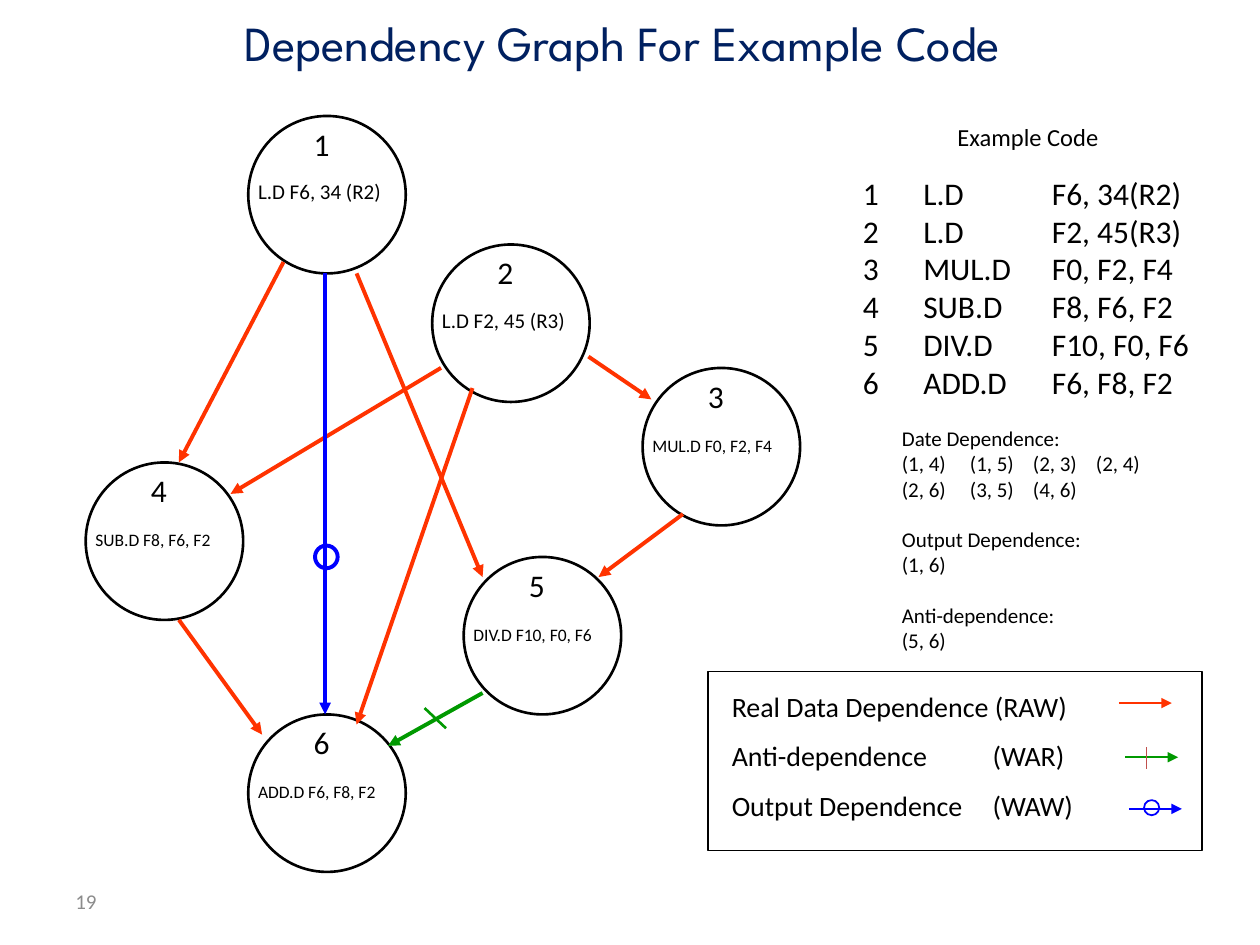
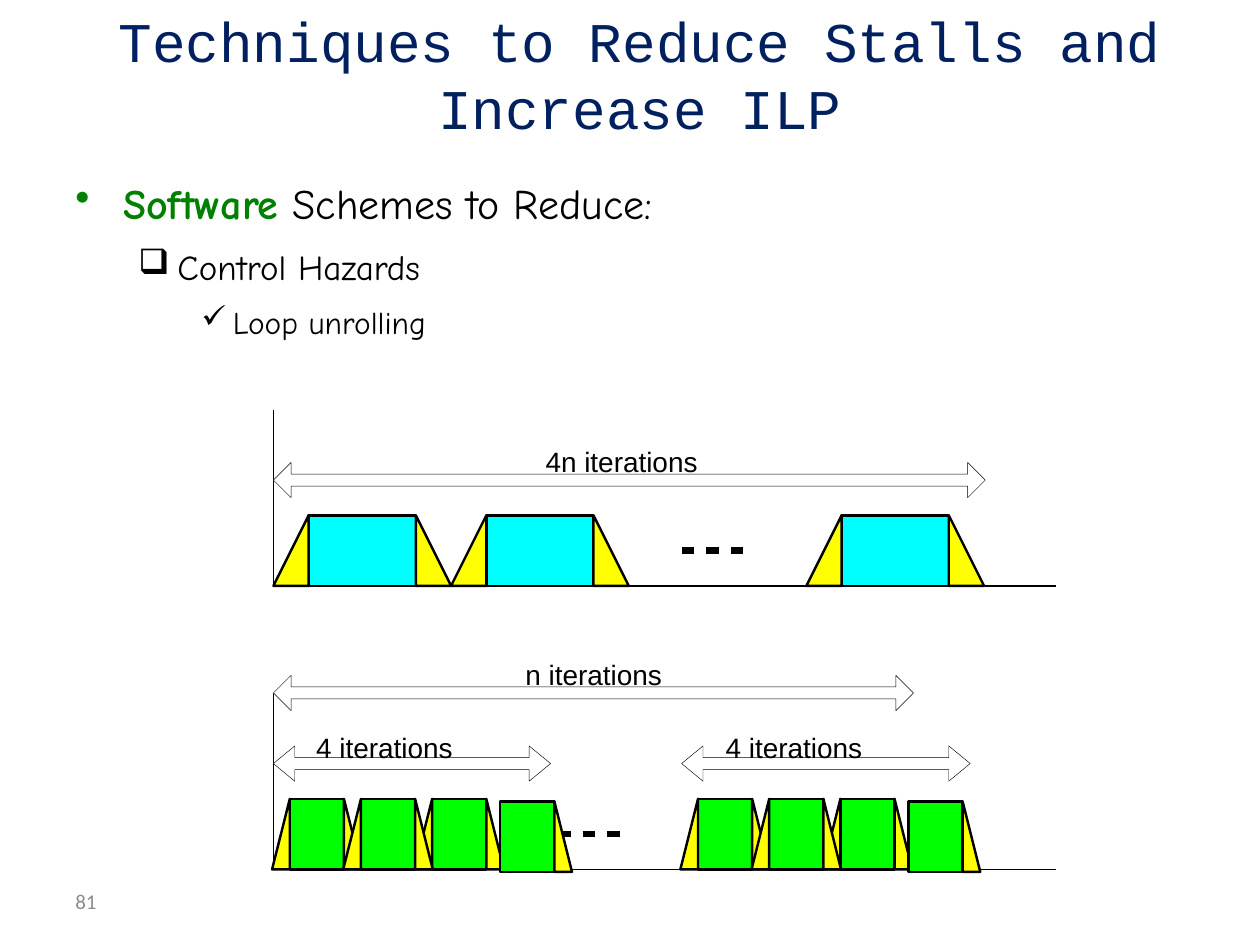
"""Build two slides on dependency graphs and loop unrolling."""
from dataclasses import dataclass

from lxml import etree
from pptx import Presentation
from pptx.dml.color import RGBColor
from pptx.enum.shapes import MSO_CONNECTOR, MSO_SHAPE
from pptx.enum.text import MSO_ANCHOR, MSO_AUTO_SIZE, PP_ALIGN
from pptx.oxml.ns import qn
from pptx.util import Inches, Pt

STRAIGHT = MSO_CONNECTOR.STRAIGHT
ELLIPSE, RECTANGLE = MSO_SHAPE.OVAL, MSO_SHAPE.RECTANGLE
DOUBLE_ARROW = MSO_SHAPE.LEFT_RIGHT_ARROW
TOP, MIDDLE = MSO_ANCHOR.TOP, MSO_ANCHOR.MIDDLE
LEFT, CENTER = PP_ALIGN.LEFT, PP_ALIGN.CENTER
FIXED_SIZE = MSO_AUTO_SIZE.NONE
TITLE_ONLY = 5


@dataclass(frozen=True)
class Theme:
    """Colours, fonts and sizes shared by the slides."""

    title: str = "002060"
    ink: str = "000000"
    paper: str = "FFFFFF"
    page: str = "8C8C8C"
    raw: str = "FF3300"
    war: str = "009900"
    war_tick: str = "C0504D"
    waw: str = "0000FF"
    emphasis: str = "008000"
    ramp: str = "FFFF00"
    loop: str = "00FFFF"
    unrolled: str = "00FF00"
    body_font: str = "Calibri"
    outline_font: str = "Comic Neue"
    chart_font: str = "Arial"
    tiny: float = 10
    small: float = 12
    caption: float = 14
    legend: float = 16
    code: float = 18
    edge: float = 2.25
    node: float = 1.5
    key: float = 1
    block: float = 1.38
    axis: float = 0.88
    dash: float = 3.75
    hairline: float = 0.25


THEME = Theme()

NODES = [
    (1, "L.D F6, 34 (R2)", 1.97, 0.92, THEME.small),
    (2, "L.D F2, 45 (R3)", 3.43, 1.94, THEME.small),
    (3, "MUL.D F0, F2, F4", 5.1, 2.92, THEME.tiny),
    (4, "SUB.D F8, F6, F2", 0.68, 3.67, THEME.tiny),
    (5, "DIV.D F10, F0, F6", 3.68, 4.42, THEME.tiny),
    (6, "ADD.D F6, F8, F2", 1.97, 5.67, THEME.tiny),
]
RAW_EDGES = [
    ((4.67, 2.83), (5.17, 3.17)),
    ((2.25, 2.08), (1.42, 3.67)),
    ((3.5, 2.92), (1.83, 3.92)),
    ((5.42, 4.08), (4.75, 4.58)),
    ((2.83, 2.17), (3.83, 4.58)),
    ((1.42, 4.92), (2.08, 5.83)),
    ((3.75, 3.08), (2.83, 5.75)),
]
INSTRUCTIONS = [
    "L.D\tF6, 34(R2)", "L.D\tF2, 45(R3)", "MUL.D\tF0, F2, F4",
    "SUB.D\tF8, F6, F2", "DIV.D\tF10, F0, F6", "ADD.D\tF6, F8, F2",
]
DEPENDENCES = [
    "Date Dependence:", "(1, 4)\t(1, 5)\t(2, 3)\t(2, 4)",
    "(2, 6)\t(3, 5)\t(4, 6)", "Output Dependence:", "(1, 6)",
    "Anti-dependence:", "(5, 6)",
]
LEGEND = [
    "Real Data Dependence (RAW)", "Anti-dependence\t(WAR)",
    "Output Dependence\t(WAW)",
]
OUTLINE = [
    ("•", 24, 0.38, 0.38, [("Software", THEME.emphasis, True),
                           (" Schemes to Reduce:", THEME.ink, False)]),
    ("❑", 20, 0.81, 0.31, [("Control Hazards", THEME.ink, False)]),
    ("✓", 18, 1.25, 0.25, [("Loop unrolling", THEME.ink, False)]),
]


def apply_format(target, values):
    """Set each named value on the target."""
    for name, value in values.items():
        setattr(target, name, value)


def place(shape, left, top, width, height):
    """Move and size a shape in inches."""
    apply_format(shape, {"left": Inches(left), "top": Inches(top),
                         "width": Inches(width), "height": Inches(height)})


def style_font(font, name, size, colour, bold=False):
    """Give a font its face, size, weight and colour."""
    apply_format(font, {"name": name, "size": Pt(size), "bold": bold})
    font.color.rgb = RGBColor.from_string(colour)


def add_text(slide, box, lines, size, font=THEME.body_font, colour=THEME.ink,
             anchor=TOP, inset=(0.1, 0.05), tabs=(), gaps=None):
    """Write lines in a text box, with tab stops and gaps before lines."""
    label = slide.shapes.add_textbox(*map(Inches, box))
    frame = label.text_frame
    across, down = map(Inches, inset)
    apply_format(frame, {"word_wrap": True, "vertical_anchor": anchor,
                         "margin_left": across, "margin_right": across,
                         "margin_top": down, "margin_bottom": down})
    frame.text = "\n".join(lines)
    for index, paragraph in enumerate(frame.paragraphs):
        paragraph.space_before = Pt((gaps or {}).get(index, 0))
        for run in paragraph.runs:
            style_font(run.font, font, size, colour)
        if tabs:
            stops = etree.SubElement(paragraph._p.get_or_add_pPr(), qn("a:tabLst"))
            for stop in tabs:
                etree.SubElement(stops, qn("a:tab"), pos=str(Inches(stop)), algn="l")


def add_page(deck, title, font, size, box, number, align=CENTER, indent=0.1):
    """Add a slide with its title and page number."""
    slide = deck.slides.add_slide(deck.slide_layouts[TITLE_ONLY])
    heading = slide.shapes.title
    place(heading, *box)
    frame = heading.text_frame
    frame.text = title
    apply_format(frame, {"word_wrap": True, "auto_size": FIXED_SIZE,
                         "vertical_anchor": MIDDLE, "margin_left": Inches(indent)})
    frame.paragraphs[0].alignment = align
    style_font(frame.paragraphs[0].runs[0].font, font, size, THEME.title)
    add_text(slide, (0.5, 6.95, 2.33, 0.4), [number], THEME.small,
             colour=THEME.page, anchor=MIDDLE)
    return slide


def paint(shape, fill, colour, weight):
    """Set a shape's fill and outline and drop its shadow."""
    shape.shadow.inherit = False
    if fill:
        shape.fill.solid()
        shape.fill.fore_color.rgb = RGBColor.from_string(fill)
    else:
        shape.fill.background()
    shape.line.color.rgb = RGBColor.from_string(colour)
    shape.line.width = Pt(weight)


def add_figure(slide, kind, box, weight, colour=THEME.ink, fill=None):
    """Draw a preset shape."""
    figure = slide.shapes.add_shape(kind, *map(Inches, box))
    paint(figure, fill, colour, weight)
    return figure


def add_line(slide, start, end, colour, weight, arrow=False):
    """Draw a straight line, optionally ending in an arrowhead."""
    line = slide.shapes.add_connector(STRAIGHT, *map(Inches, (*start, *end)))
    line.line.color.rgb = RGBColor.from_string(colour)
    line.line.width = Pt(weight)
    if arrow:
        etree.SubElement(line.line._get_or_add_ln(), qn("a:tailEnd"), type="triangle")
    etree.SubElement(line._element.spPr, qn("a:effectLst"))


def add_node(slide, number, instruction, left, top, size):
    """Draw a graph node with its number and instruction."""
    add_figure(slide, ELLIPSE, (left, top, 1.25, 1.25), THEME.node)
    label_drop = 0.45 if size == THEME.small else 0.48
    add_text(slide, (left - 0.02, top + label_drop, 1.4, 0.3), [instruction], size)
    add_text(slide, (left + 0.42, top + 0.02, 0.37, 0.5), [str(number)], THEME.code)


def add_legend(slide):
    """Draw the key to the three kinds of dependence."""
    add_figure(slide, RECTANGLE, (5.62, 5.33, 3.92, 1.42), THEME.key)
    add_text(slide, (5.71, 5.42, 3.13, 1.17), LEGEND, THEME.legend,
             tabs=[2.07], gaps={1: 9.3, 2: 9.3})
    keys = [(8.88, 5.58, THEME.raw), (8.93, 6.01, THEME.war), (8.96, 6.42, THEME.waw)]
    for left, level, colour in keys:
        add_line(slide, (left, level), (left + 0.42, level), colour, THEME.key, True)
    add_line(slide, (9.1, 5.93), (9.1, 6.1), THEME.war_tick, THEME.key)
    add_figure(slide, ELLIPSE, (9.08, 6.35, 0.12, 0.12), THEME.key, THEME.waw)


def add_graph_slide(deck):
    """Build the dependency graph slide."""
    slide = add_page(deck, "Dependency Graph For Example Code", "League Spartan", 28,
                     (1.17, 0.08, 8.12, 0.5), "19", LEFT, 0.77)
    add_text(slide, (7.5, 0.92, 1.6, 0.33), ["Example Code"], THEME.caption)
    add_text(slide, (7.23, 1.33, 2.5, 1.92), INSTRUCTIONS, THEME.code, tabs=[1.02])
    add_text(slide, (6.75, 1.33, 0.36, 1.9), [str(node[0]) for node in NODES], THEME.code)
    add_text(slide, (7.06, 3.33, 2.6, 1.9), DEPENDENCES, THEME.small,
             tabs=[0.54, 1.04, 1.54], gaps={3: 14.4, 5: 14.4})
    for node in NODES:
        add_node(slide, *node)
    for start, end in RAW_EDGES:
        add_line(slide, start, end, THEME.raw, THEME.edge, True)
    add_line(slide, (3.37, 5.62), (3.54, 5.78), THEME.war, THEME.node)
    add_line(slide, (3.83, 5.5), (3.08, 5.92), THEME.war, THEME.edge, True)
    add_figure(slide, ELLIPSE, (2.5, 4.33, 0.18, 0.18), THEME.edge, THEME.waw)
    add_line(slide, (2.58, 2.17), (2.58, 5.67), THEME.waw, THEME.edge, True)
    add_legend(slide)


def add_outline(slide):
    """Write the bulleted outline."""
    box = slide.shapes.add_textbox(*map(Inches, (0.5, 1.36, 9, 1.6)))
    frame = box.text_frame
    frame.word_wrap = True
    for index, (bullet, size, margin, hang, runs) in enumerate(OUTLINE):
        paragraph = frame.add_paragraph() if index else frame.paragraphs[0]
        paragraph.space_before = Pt(size / 2 if index else 0)
        properties = paragraph._p.get_or_add_pPr()
        properties.set("marL", str(Inches(margin)))
        properties.set("indent", str(-Inches(hang)))
        etree.SubElement(properties, qn("a:buChar"), char=bullet)
        for words, colour, bold in runs:
            run = paragraph.add_run()
            run.text = words
            style_font(run.font, THEME.outline_font, size, colour, bold)


def add_ramp(slide, foot, tip, top, height=0.56):
    """Draw a right triangle that rises from its tip to its foot."""
    base = top + height
    outline = slide.shapes.build_freeform(Inches(foot), Inches(base))
    corners = [(Inches(tip), Inches(base)), (Inches(foot), Inches(top))]
    outline.add_line_segments(corners, close=True)
    paint(outline.convert_to_shape(), THEME.ramp, THEME.ink, THEME.block)


def add_iteration(slide, left, top, width, ramp, fill, starts=True):
    """Draw a loop body between its start-up and wind-down ramps."""
    right = left + width
    add_figure(slide, RECTANGLE, (left, top, width, 0.56), THEME.block, fill=fill)
    add_ramp(slide, right, right + ramp, top)
    if starts:
        add_ramp(slide, left, left - ramp, top)


def add_span(slide, left, level, width, head, words, words_left):
    """Draw a double arrow with a label counting iterations."""
    height = 0.28
    arrow = add_figure(slide, DOUBLE_ARROW, (left, level - height / 2, width, height),
                       THEME.hairline, fill=THEME.paper)
    arrow.adjustments[0] = 0.34
    arrow.adjustments[1] = head / height
    label_top = level - (0.28 if head < 0.15 else 0.26)
    add_text(slide, (words_left, label_top, 1.4, 0.27), [words], THEME.legend,
             THEME.chart_font, inset=(0, 0))


def add_unrolling_slide(deck):
    """Build the loop unrolling slide."""
    slide = add_page(deck, "Techniques to Reduce Stalls and Increase ILP",
                     "Courier New", 32, (0.58, 0.17, 9, 0.83), "81")
    add_outline(slide)
    origin, second_group = 2.17, 5.41
    for base in (4.65, 6.9):
        add_line(slide, (origin, base - 1.4), (origin, base), THEME.ink, THEME.axis)
        add_line(slide, (origin, base), (8.38, base), THEME.ink, THEME.axis)
    for first, level in ((5.41, 4.37), (4.43, 6.62)):
        for step in range(3):
            left = first + step * 0.195
            add_line(slide, (left, level), (left + 0.1, level), THEME.ink, THEME.dash)
    add_span(slide, origin, 3.81, 5.65, 0.14, "4n iterations", 4.33)
    add_span(slide, origin, 5.5, 5.08, 0.14, "n iterations", 4.17)
    add_span(slide, origin, 6.06, 2.2, 0.17, "4 iterations", 2.51)
    add_span(slide, second_group, 6.06, 2.29, 0.17, "4 iterations", 5.76)
    for slot in (0, 1, 3):
        add_iteration(slide, 2.45 + slot * 1.41, 4.09, 0.85, 0.28, THEME.loop)
    for group in (origin, second_group):
        for slot in (2, 0, 1):
            add_iteration(slide, group + 0.13 + slot * 0.565, 6.34, 0.43, 0.14,
                          THEME.unrolled)
        add_iteration(slide, group + 1.8, 6.36, 0.43, 0.14, THEME.unrolled, starts=False)


def main():
    """Build and save the presentation."""
    deck = Presentation()
    apply_format(deck, {"slide_width": Inches(10), "slide_height": Inches(7.5)})
    add_graph_slide(deck)
    add_unrolling_slide(deck)
    deck.save("out.pptx")


if __name__ == "__main__":
    main()
